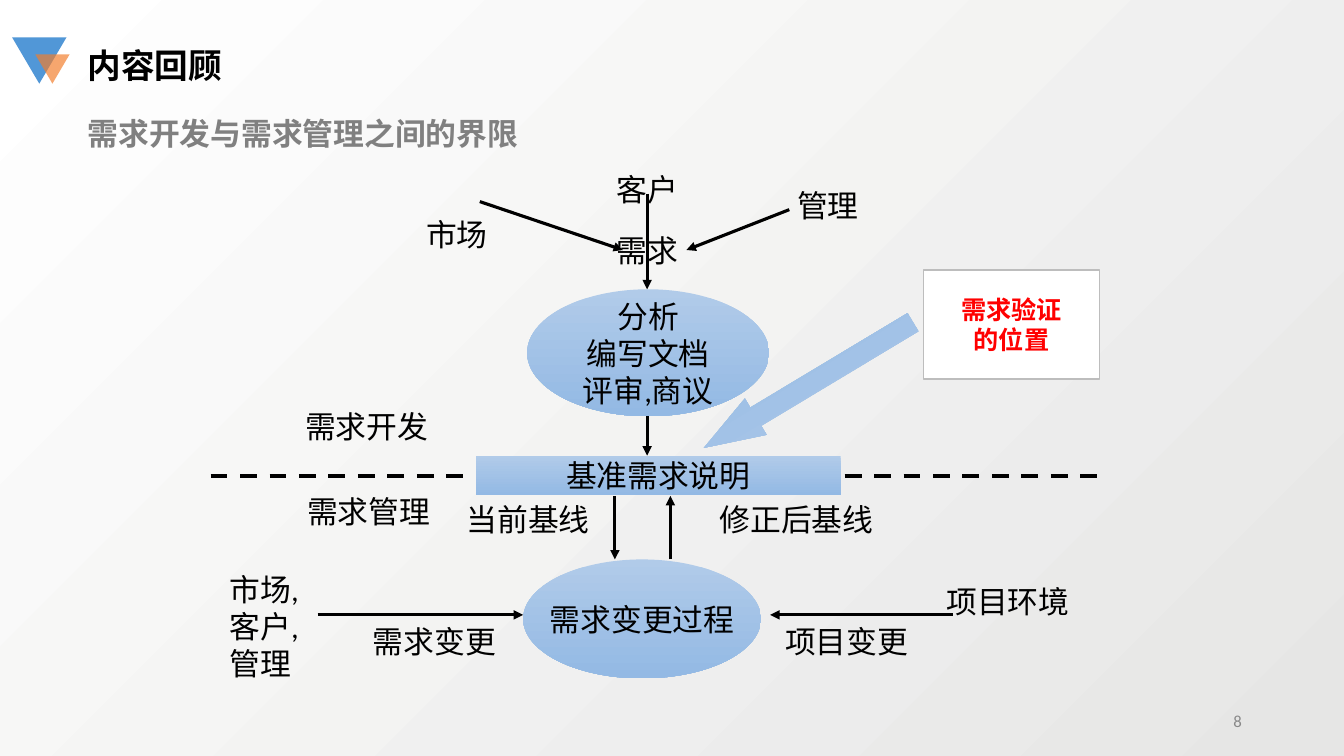
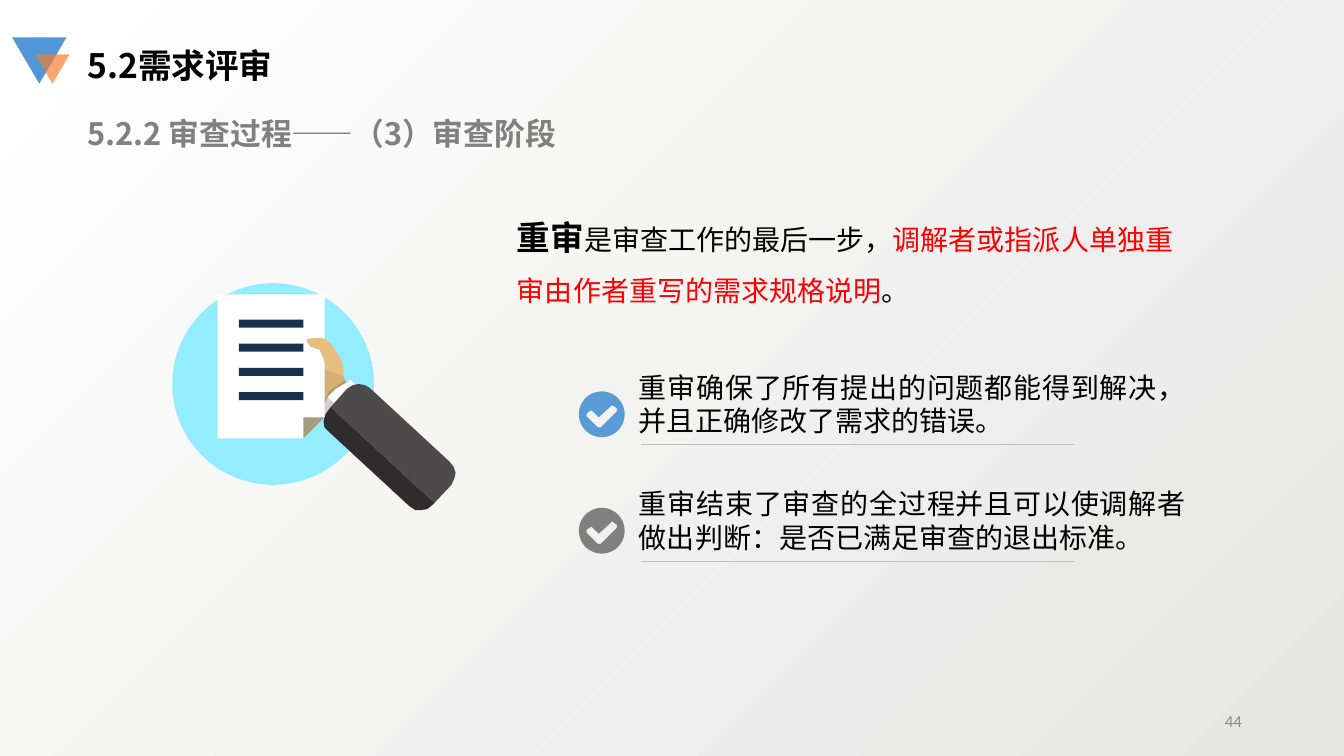
from dataclasses import dataclass
from math import cos, pi, sin
from typing import Any, NamedTuple

from lxml.etree import SubElement
from pptx import Presentation
from pptx.dml.color import RGBColor
from pptx.enum.dml import MSO_LINE
from pptx.enum.shapes import MSO_CONNECTOR, MSO_SHAPE as Preset
from pptx.enum.text import MSO_ANCHOR as Anchor, MSO_AUTO_SIZE as AutoSize, PP_ALIGN as Align
from pptx.oxml.ns import qn
from pptx.util import Emu, Inches, Pt

CELL = Inches(0.1)
SLIDE_COLUMNS, SLIDE_ROWS = 133.33, 75

BLACK = RGBColor(0x00, 0x00, 0x00)
WHITE = RGBColor(0xFF, 0xFF, 0xFF)
RED = RGBColor(0xFF, 0x00, 0x00)
GREY = RGBColor(0x80, 0x80, 0x80)
NUMBER_GREY = RGBColor(0x89, 0x89, 0x89)
RULE_GREY = RGBColor(0xBF, 0xBF, 0xBF)
BORDER_GREY = RGBColor(0xBD, 0xBD, 0xBD)
BACKDROP_GREY = RGBColor(0xE6, 0xE6, 0xE5)
EMBLEM_BLUE = RGBColor(0x51, 0x97, 0xD7)
EMBLEM_ORANGE = RGBColor(0xF3, 0x7D, 0x2A)
PALE_BLUE = RGBColor(0xB1, 0xCB, 0xE9)
DEEP_BLUE = RGBColor(0x93, 0xB9, 0xE4)
CHECK_BLUE = RGBColor(0x5B, 0x9B, 0xD5)
LENS_CYAN = RGBColor(0x94, 0xED, 0xFF)
INK_NAVY = RGBColor(0x18, 0x32, 0x49)
SKIN = RGBColor(0xE6, 0xBE, 0x80)
SKIN_SHADE = RGBColor(0xD4, 0xB0, 0x76)
WRIST = RGBColor(0xB8, 0x99, 0x65)
CUFF_SHADE = RGBColor(0xCE, 0xCE, 0xD1)
FOLD = RGBColor(0xA8, 0x9C, 0x80)
SLEEVE = RGBColor(0x4D, 0x4A, 0x4B)
SLEEVE_SHADE = RGBColor(0x2E, 0x2C, 0x2D)

Point = tuple[float, float]


class Box(NamedTuple):
    column: float
    row: float
    columns: float
    rows: float


@dataclass(frozen=True)
class Style:
    name: str
    size: int
    color: RGBColor = BLACK
    bold: bool = False


class Run(NamedTuple):
    text: str
    style: Style


class Label(NamedTuple):
    box: Box
    lines: tuple[str, ...]


class Node(NamedTuple):
    preset: Preset
    box: Box
    lines: tuple[str, ...]


class Link(NamedTuple):
    start: Point
    end: Point


class Patch(NamedTuple):
    color: RGBColor
    points: tuple[Point, ...]


class Finding(NamedTuple):
    color: RGBColor
    text: str


HEADING = "Noto Sans CJK SC"
BODY = "Calibri"
TITLE_STYLE = Style(HEADING, 24, bold=True)
SUBTITLE_STYLE = Style(HEADING, 22, GREY, True)
DIAGRAM_STYLE = Style(BODY, 22)
CALLOUT_STYLE = Style(BODY, 18, RED, True)
NUMBER_STYLE = Style(BODY, 12, NUMBER_GREY)
PROSE_STYLE = Style(HEADING, 20)
PROSE_RED = Style(HEADING, 20, RED)

NODES = (
    Node(Preset.OVAL, Box(52.3, 28.7, 24, 12.6), ("分析", "编写文档", "评审,商议")),
    Node(Preset.RECTANGLE, Box(47.2, 45.2, 36.2, 3.9), ("基准需求说明",)),
    Node(Preset.OVAL, Box(51.9, 55.5, 23.6, 11.8), ("需求变更过程",)),
)
LABELS = (
    Label(Box(92.9, 57.3, 14.2, 4.7), ("项目环境",)),
    Label(Box(76.9, 61.3, 14.2, 4.7), ("项目变更",)),
    Label(Box(21.8, 56.1, 8.9, 12), ("市场,", "客户,", "管理")),
    Label(Box(36, 61.3, 14.2, 4.7), ("需求变更",)),
    Label(Box(29.3, 40, 14.2, 4.7), ("需求开发",)),
    Label(Box(29.5, 48.4, 14.2, 4.7), ("需求管理",)),
    Label(Box(45.3, 49.2, 14.2, 4.7), ("当前基线",)),
    Label(Box(70.4, 49.2, 17.3, 4.7), ("修正后基线",)),
    Label(Box(41.3, 20.9, 8.1, 4.7), ("市场",)),
    Label(Box(60.2, 16.4, 8.1, 4.7), ("客户",)),
    Label(Box(60.2, 22.5, 8.1, 4.7), ("需求",)),
    Label(Box(78.1, 18, 8.1, 4.7), ("管理",)),
)
ARROWS = (
    Link((94.5, 61), (76.4, 61)),
    Link((31.5, 61), (51.9, 61)),
    Link((47.6, 20), (61.8, 24.8)),
    Link((64.2, 19.2), (64.2, 28.7)),
    Link((78.3, 20.8), (68.1, 24.8)),
    Link((64.2, 41.3), (64.2, 45.2)),
    Link((61, 49.2), (61, 55.5)),
    Link((66.5, 55.5), (66.5, 49.2)),
)
BORDERLINES = (Link((20.9, 47.2), (46.8, 47.2)), Link((83.8, 47.2), (109.8, 47.2)))

HAND_AND_SHEET = (
    Patch(SKIN, ((34, 36.3), (34.1, 37.3), (29.5, 35.8), (29.3, 35.3), (29.5, 34.9), (30, 34.7),
                 (30.4, 34.8), (30.3, 34.4), (30.5, 34.1), (31, 33.9), (31.4, 34), (32.4, 35),
                 (33.4, 35), (33.8, 35.5))),
    Patch(WRIST, ((34.2, 37.7), (34.7, 38.3), (32.2, 40.8), (31.8, 40.4), (32.7, 38.7))),
    Patch(SKIN_SHADE, ((34.1, 37.3), (34.2, 37.7), (32.7, 38.7), (31.8, 40.4), (31, 40.3),
                       (29.9, 39.5), (28.1, 37.9), (27.9, 37.4), (28.1, 37), (29, 37),
                       (28.6, 36.4), (28.7, 35.9), (29.2, 35.7), (29.5, 35.8))),
    Patch(CUFF_SHADE, ((31.7, 41), (33.3, 42.5), (34.5, 41.2), (32.5, 39.4))),
    Patch(WHITE, ((35.3, 40.4), (36.4, 39.2), (34.8, 37.7), (33.3, 38.6), (32.5, 39.4),
                  (34.5, 41.3))),
    Patch(WHITE, ((32.2, 29.2), (21.6, 29.2), (21.6, 43.5), (30.1, 43.5), (32.2, 41.4))),
)
THUMB_AND_SLEEVE = (
    Patch(FOLD, ((30.1, 43.5), (32.2, 41.4), (30.1, 41.4))),
    Patch(SKIN, ((32.9, 34.2), (32.5, 33.8), (31.9, 33.5), (30.5, 33.6), (30.4, 33.8),
                 (30.8, 34.4), (31.7, 34.7), (32.1, 35.6), (32.5, 36.8), (32.8, 35.1),
                 (33.5, 35.1))),
    Patch(SLEEVE, ((44.6, 45.8), (36.7, 38.5), (36.2, 38.2), (35.6, 38.1), (35, 38.2),
                   (34.4, 38.6), (32.8, 40.4), (43.1, 49.9), (44.8, 48.1), (45.1, 47.4),
                   (45.2, 46.9), (45, 46.3))),
    Patch(SLEEVE_SHADE, ((32.8, 40.4), (32.3, 41.1), (32.1, 41.8), (32.2, 42.4), (32.7, 42.9),
                         (40.6, 50.2), (41.2, 50.6), (41.8, 50.6), (42.4, 50.5), (42.9, 50.1),
                         (43.1, 49.9))),
)

CHECK_COLUMN, CHECK_ROW, CHECK_RADIUS = 59.7, 41.1, 2.27
CIRCLE_STEPS = 72
TICK = ((1.5, -0.6), (1.2, -0.8), (1, -0.9), (0.9, -0.8), (-0.3, 0.3), (-0.9, -0.3),
        (-1.1, -0.4), (-1.2, -0.3), (-1.5, -0.1), (-1.5, 0.2), (-0.4, 1.3), (-0.1, 1.3),
        (1.5, -0.3))
FINDING_PITCH = 11.55
FINDINGS = (
    Finding(CHECK_BLUE, "重审确保了所有提出的问题都能得到解决，并且正确修改了需求的错误。"),
    Finding(GREY, "重审结束了审查的全过程并且可以使调解者做出判断：是否已满足审查的退出标准。"),
)


def cells(count: float) -> Emu:
    return Emu(round(count * CELL))


def apply(target: Any, values: dict[str, Any]) -> None:
    for name, value in values.items():
        setattr(target, name, value)


def shade(fill: Any, start: RGBColor, end: RGBColor, angle: float) -> None:
    fill.gradient()
    fill.gradient_angle = angle
    for stop, color, position in zip(fill.gradient_stops, (start, end), (0, 1)):
        stop.color.rgb = color
        stop.position = position


def write(shape: Any, paragraphs: list[list[Run]], frame: dict[str, Any],
          layout: dict[str, Any]) -> None:
    text_frame = shape.text_frame
    apply(text_frame, frame)
    for index, runs in enumerate(paragraphs):
        paragraph = text_frame.add_paragraph() if index else text_frame.paragraphs[0]
        apply(paragraph, layout)
        for text, style in runs:
            run = paragraph.add_run()
            run.text = text
            run.font.color.rgb = style.color
            apply(run.font, {"name": style.name, "size": Pt(style.size), "bold": style.bold})
            SubElement(run.font._element, qn("a:ea"), typeface=style.name)


def add_text(slide: Any, box: Box, paragraphs: list[list[Run]], wrap: bool = True,
             grow: bool = True, anchor: Anchor = Anchor.TOP, **layout: Any) -> None:
    shape = slide.shapes.add_textbox(*map(cells, box))
    size = AutoSize.SHAPE_TO_FIT_TEXT if grow else AutoSize.NONE
    write(shape, paragraphs,
          {"word_wrap": wrap, "auto_size": size, "vertical_anchor": anchor}, layout)


def plain(shape: Any, color: RGBColor | None = None) -> Any:
    shape.shadow.inherit = False
    shape.line.fill.background()
    if color is None:
        shade(shape.fill, PALE_BLUE, DEEP_BLUE, 270)
    else:
        shape.fill.solid()
        shape.fill.fore_color.rgb = color
    return shape


def add_preset(slide: Any, preset: Preset, box: Box, color: RGBColor | None = None) -> Any:
    return plain(slide.shapes.add_shape(preset, *map(cells, box)), color)


def add_outline(slide: Any, color: RGBColor, *contours: tuple[Point, ...]) -> None:
    first, *others = [[(cells(x), cells(y)) for x, y in contour] for contour in contours]
    builder = slide.shapes.build_freeform(*first[0])
    builder.add_line_segments(first[1:], close=True)
    for contour in others:
        builder.move_to(*contour[0])
        builder.add_line_segments(contour[1:], close=True)
    plain(builder.convert_to_shape(), color)


def add_line(slide: Any, link: Link, color: RGBColor, width: float, arrow: bool = False,
             dash: MSO_LINE | None = None) -> None:
    connector = slide.shapes.add_connector(
        MSO_CONNECTOR.STRAIGHT, *map(cells, link.start), *map(cells, link.end))
    connector.line.color.rgb = color
    apply(connector.line, {"width": Pt(width), "dash_style": dash})
    if arrow:
        SubElement(connector.line._get_or_add_ln(), qn("a:tailEnd"), type="triangle")
    SubElement(connector._element.spPr, qn("a:effectLst"))


def centred(shape: Any, lines: tuple[str, ...], style: Style) -> None:
    write(shape, [[Run(line, style)] for line in lines],
          {"word_wrap": False, "vertical_anchor": Anchor.MIDDLE}, {"alignment": Align.CENTER})


def add_page(presentation: Any, title: str, subtitle: str, subtitle_columns: float,
             number: int) -> Any:
    slide = presentation.slides.add_slide(presentation.slide_layouts[6])
    shade(slide.background.fill, BACKDROP_GREY, WHITE, 135)
    add_preset(slide, Preset.ISOSCELES_TRIANGLE, Box(1.2, 3.7, 5.4, 4.6), EMBLEM_BLUE).rotation = 180
    front = add_preset(slide, Preset.ISOSCELES_TRIANGLE, Box(3.5, 5.4, 3.4, 2.9), EMBLEM_ORANGE)
    front.rotation = 180
    tint = front._element.spPr.find(qn("a:solidFill"))[0]
    SubElement(tint, qn("a:alpha"), val="68000")
    add_text(slide, Box(7.7, 4, 35.2, 5), [[Run(title, TITLE_STYLE)]])
    add_text(slide, Box(7.7, 10.9, subtitle_columns, 4.7), [[Run(subtitle, SUBTITLE_STYLE)]])
    add_text(slide, Box(94.2, 69.5, 30, 4), [[Run(str(number), NUMBER_STYLE)]],
             grow=False, anchor=Anchor.MIDDLE, alignment=Align.RIGHT)
    return slide


def draw_boundary(presentation: Any) -> None:
    slide = add_page(presentation, "内容回顾", "需求开发与需求管理之间的界限", 45.8, 8)
    for node in NODES:
        centred(add_preset(slide, node.preset, node.box), node.lines, DIAGRAM_STYLE)
    for label in LABELS:
        add_text(slide, label.box, [[Run(line, DIAGRAM_STYLE)] for line in label.lines], wrap=False)
    for arrow in ARROWS:
        add_line(slide, arrow, BLACK, 2.25, arrow=True)
    for borderline in BORDERLINES:
        add_line(slide, borderline, BLACK, 3, dash=MSO_LINE.DASH)
    callout = add_preset(slide, Preset.RECTANGLE, Box(91.6, 26.8, 17.5, 10.8), WHITE)
    callout.line.color.rgb = BORDER_GREY
    callout.line.width = Pt(1)
    centred(callout, ("需求验证", "的位置"), CALLOUT_STYLE)
    pointer = add_preset(slide, Preset.RIGHT_ARROW, Box(68.1, 36.1, 24.2, 4.2))
    pointer.rotation = 149
    pointer.adjustments[0], pointer.adjustments[1] = 0.5, 1.43


def draw_magnifier(slide: Any) -> None:
    add_preset(slide, Preset.OVAL, Box(17.1, 28.1, 20, 20), LENS_CYAN)
    for patch in HAND_AND_SHEET:
        add_outline(slide, patch.color, patch.points)
    for index in range(4):
        add_preset(slide, Preset.RECTANGLE, Box(23.7, 31.7 + 2.4 * index, 6.4, 0.8), INK_NAVY)
    for patch in THUMB_AND_SLEEVE:
        add_outline(slide, patch.color, patch.points)


def draw_finding(slide: Any, finding: Finding, offset: float) -> None:
    middle = CHECK_ROW + offset
    angles = [2 * pi * step / CIRCLE_STEPS for step in range(CIRCLE_STEPS)]
    circle = tuple((CHECK_COLUMN + CHECK_RADIUS * cos(angle), middle + CHECK_RADIUS * sin(angle))
                   for angle in angles)
    tick = tuple((CHECK_COLUMN + x, middle + y) for x, y in TICK)
    add_outline(slide, finding.color, circle, tick)
    add_text(slide, Box(62.4, 38.4 + offset, 56.2, 5.5), [[Run(finding.text, PROSE_STYLE)]],
             grow=False, anchor=Anchor.BOTTOM, alignment=Align.JUSTIFY)
    add_line(slide, Link((63.6, 44.1 + offset), (106.5, 44.1 + offset)), RULE_GREY, 0.5)


def draw_review(presentation: Any) -> None:
    slide = add_page(presentation, "5.2需求评审", "5.2.2 审查过程——（3）审查阶段", 50.6, 44)
    add_text(slide, Box(50.3, 19, 69.5, 11.3), [[
        Run("重审", TITLE_STYLE),
        Run("是审查工作的最后一步，", PROSE_STYLE),
        Run("调解者或指派人单独重审由作者重写的需求规格说明", PROSE_RED),
        Run("。", PROSE_STYLE),
    ]], line_spacing=1.5)
    draw_magnifier(slide)
    for index, finding in enumerate(FINDINGS):
        draw_finding(slide, finding, FINDING_PITCH * index)


def main() -> None:
    presentation = Presentation()
    apply(presentation, {"slide_width": cells(SLIDE_COLUMNS), "slide_height": cells(SLIDE_ROWS)})
    draw_boundary(presentation)
    draw_review(presentation)
    presentation.save("out.pptx")


if __name__ == "__main__":
    main()
